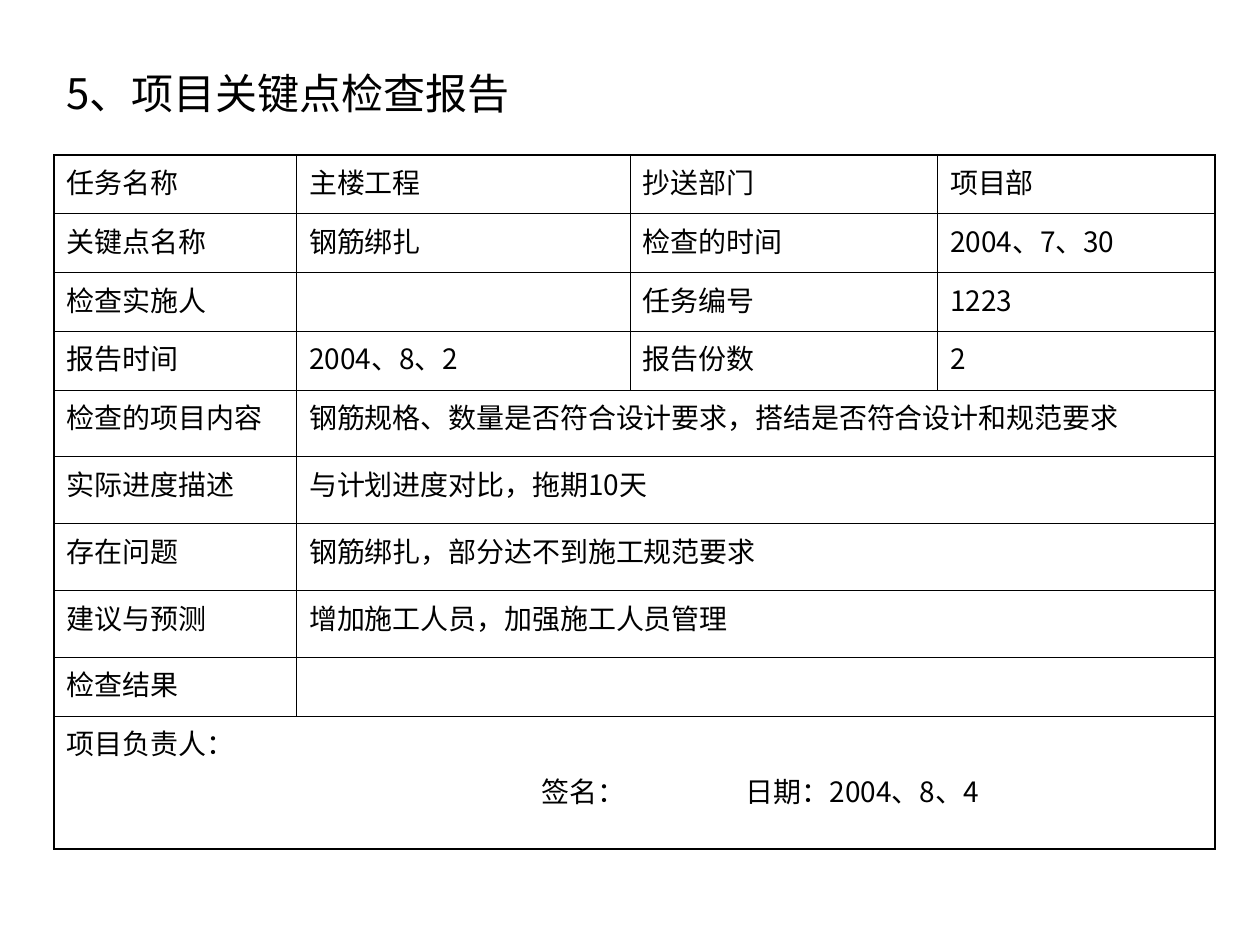
from dataclasses import dataclass

from lxml import etree
from pptx import Presentation
from pptx.dml.color import RGBColor
from pptx.enum.text import MSO_ANCHOR
from pptx.oxml.ns import qn
from pptx.util import Pt

MIDDLE = MSO_ANCHOR.MIDDLE
TOP = MSO_ANCHOR.TOP


@dataclass(frozen=True)
class Theme:
    font: str = "Noto Sans CJK SC"
    ink: str = "000000"
    title_size: float = 24
    body_size: float = 16
    outer_line: float = 1.08
    inner_line: float = 0.45
    paragraph_gap: float = 4


@dataclass(frozen=True)
class Row:
    """One table row; its last cell spans all columns left over."""
    height: float
    cells: tuple[str, ...]


THEME = Theme()
LEFT, WIDTH = 31, 663.25
TITLE_TOP, TITLE_HEIGHT = 26, 54
TABLE_TOP = 88.5
INSET_X, INSET_Y = 7.2, 3.6
COLUMN_WIDTHS = (138.5, 190.75, 175.5, 158.5)
SHORT, TALL, SIGNATURE = 33.6, 38.2, 76
SIGNATURE_TABS = (271.5, 388)

ROWS = (
    Row(SHORT, ("任务名称", "主楼工程", "抄送部门", "项目部")),
    Row(SHORT, ("关键点名称", "钢筋绑扎", "检查的时间", "2004、7、30")),
    Row(SHORT, ("检查实施人", "", "任务编号", "1223")),
    Row(SHORT, ("报告时间", "2004、8、2", "报告份数", "2")),
    Row(TALL, ("检查的项目内容", "钢筋规格、数量是否符合设计要求，搭结是否符合设计和规范要求")),
    Row(TALL, ("实际进度描述", "与计划进度对比，拖期10天")),
    Row(TALL, ("存在问题", "钢筋绑扎，部分达不到施工规范要求")),
    Row(TALL, ("建议与预测", "增加施工人员，加强施工人员管理")),
    Row(SHORT, ("检查结果", "")),
    Row(SIGNATURE, ("项目负责人：\n\t签名：\t日期：2004、8、4",)),
)


def add_span(para, text: str, size: float) -> None:
    span = para.add_run()
    span.text = text
    span.font.size = Pt(size)
    span.font.name = THEME.font
    span.font.color.rgb = RGBColor.from_string(THEME.ink)
    east_asian = etree.SubElement(span.font._element, qn("a:ea"))
    east_asian.set("typeface", THEME.font)


def add_tabs(para, positions: tuple[float, ...]) -> None:
    tab_list = etree.SubElement(para._p.get_or_add_pPr(), qn("a:tabLst"))
    for position in positions:
        etree.SubElement(tab_list, qn("a:tab"), pos=str(Pt(position)), algn="l")


def set_borders(cell, widths: dict[str, float]) -> None:
    """Draw solid borders; keys are the sides L, R, T, B in that order."""
    properties = cell._tc.get_or_add_tcPr()
    for index, (side, width) in enumerate(widths.items()):
        line = etree.Element(qn(f"a:ln{side}"), w=str(Pt(width)))
        fill = etree.SubElement(line, qn("a:solidFill"))
        etree.SubElement(fill, qn("a:srgbClr"), val=THEME.ink)
        properties.insert(index, line)


def fill_cell(cell, text: str) -> None:
    cell.margin_left = cell.margin_right = Pt(INSET_X)
    cell.margin_top = cell.margin_bottom = Pt(INSET_Y)
    cell.vertical_anchor = TOP
    frame = cell.text_frame
    for index, line in enumerate(text.split("\n")):
        para = frame.add_paragraph() if index else frame.paragraphs[0]
        if index:
            para.space_before = Pt(THEME.paragraph_gap)
        if "\t" in line:
            add_tabs(para, SIGNATURE_TABS)
        if line:
            add_span(para, line, THEME.body_size)
        else:
            para.font.size = Pt(THEME.body_size)


def add_title(slide, text: str) -> None:
    box = slide.shapes.add_textbox(Pt(LEFT), Pt(TITLE_TOP), Pt(WIDTH), Pt(TITLE_HEIGHT))
    frame = box.text_frame
    frame.word_wrap = True
    frame.vertical_anchor = MIDDLE
    add_span(frame.paragraphs[0], text, THEME.title_size)


def add_report_table(slide) -> None:
    last_row, last_column = len(ROWS) - 1, len(COLUMN_WIDTHS) - 1
    table = slide.shapes.add_table(
        len(ROWS), len(COLUMN_WIDTHS), Pt(LEFT), Pt(TABLE_TOP),
        Pt(WIDTH), Pt(sum(row.height for row in ROWS))).table
    table.first_row = table.horz_banding = False
    for column, width in zip(table.columns, COLUMN_WIDTHS):
        column.width = Pt(width)

    def edge(is_outer: bool) -> float:
        return THEME.outer_line if is_outer else THEME.inner_line

    for row_index, row in enumerate(ROWS):
        table.rows[row_index].height = Pt(row.height)
        final = len(row.cells) - 1
        if final < last_column:
            table.cell(row_index, final).merge(table.cell(row_index, last_column))
        for column_index in range(last_column + 1):
            cell = table.cell(row_index, column_index)
            cell.fill.background()
            sides = {}
            if column_index <= final:
                sides["L"] = edge(column_index == 0)
            if column_index < final or column_index in (final, last_column):
                sides["R"] = edge(column_index >= final)
            sides["T"] = edge(row_index == 0)
            sides["B"] = edge(row_index == last_row)
            set_borders(cell, sides)
            if column_index <= final:
                fill_cell(cell, row.cells[column_index])


def main() -> None:
    deck = Presentation()
    deck.slide_width, deck.slide_height = Pt(720), Pt(540)
    page = deck.slides.add_slide(deck.slide_layouts[6])
    add_title(page, "5、项目关键点检查报告")
    add_report_table(page)
    deck.save("out.pptx")


if __name__ == "__main__":
    main()
